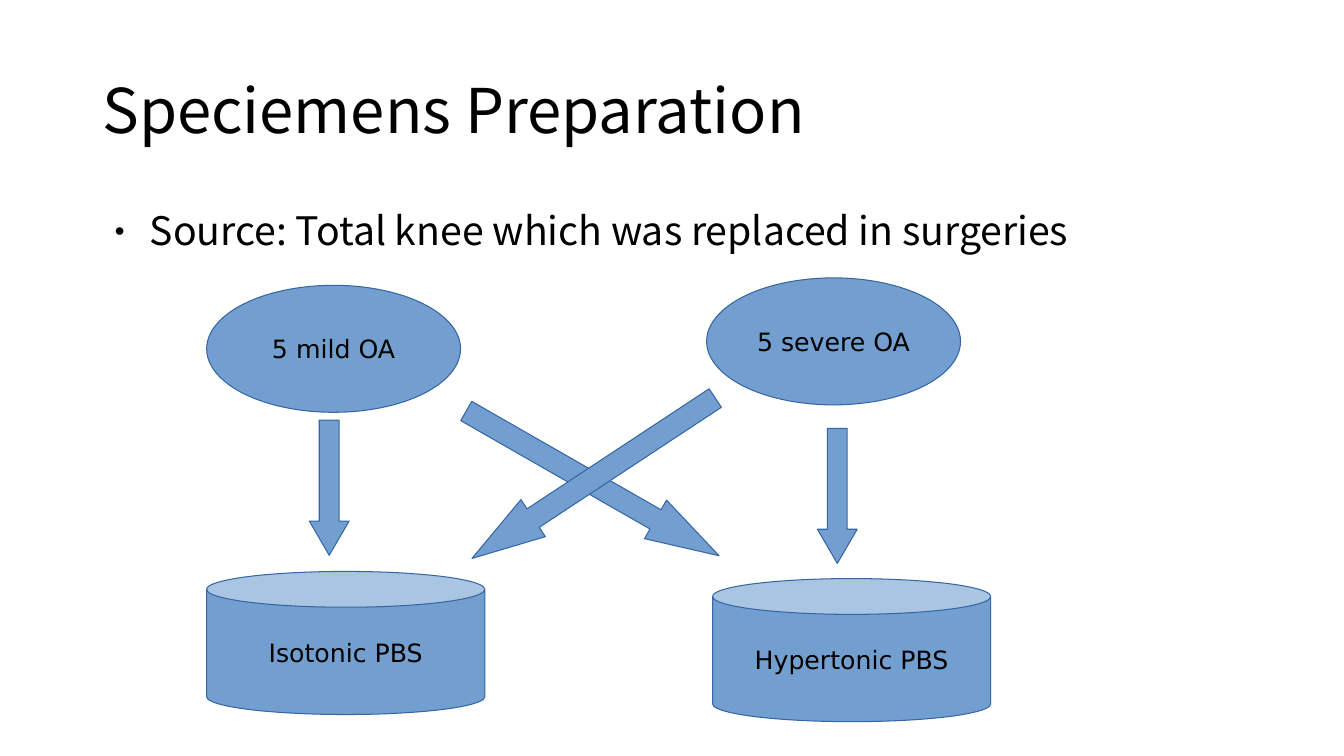
"""Build the slide on specimen preparation."""
from lxml import etree
from pptx import Presentation
from pptx.dml.color import RGBColor
from pptx.enum.shapes import MSO_SHAPE
from pptx.enum.text import MSO_ANCHOR, PP_ALIGN
from pptx.oxml.ns import qn
from pptx.util import Pt

BLACK = RGBColor(0x00, 0x00, 0x00)
BLUE = RGBColor(0x72, 0x9F, 0xCF)
NAVY = RGBColor(0x34, 0x65, 0xA4)
SANS = "DejaVu Sans"
NOTO = "Noto Sans CJK SC"
OVAL = MSO_SHAPE.OVAL
CAN = MSO_SHAPE.CAN
ARROW = MSO_SHAPE.DOWN_ARROW
LEFT = PP_ALIGN.LEFT
CENTER = PP_ALIGN.CENTER
TOP = MSO_ANCHOR.TOP
MIDDLE = MSO_ANCHOR.MIDDLE

NODES = [
    (OVAL, "5 mild OA", (147.6, 203.8, 181.4, 90.7)),
    (OVAL, "5 severe OA", (504.7, 198.5, 181.4, 90.7)),
    (CAN, "Hypertonic PBS", (509, 413.3, 198.7, 102.2)),
    (CAN, "Isotonic PBS", (147.6, 408.2, 198.7, 102.2)),
]
ARROWS = [
    ((221, 300.2, 28.4, 96.5), 0.86, 0),
    ((583.9, 306, 28.4, 96.5), 0.86, 0),
    ((407.5, 241.2, 31.7, 208.1), 1.65, 299.8),
    ((408.2, 237.6, 31.7, 208.1), 1.65, 56.6),
]


def write(shape, text, size=18, font=SANS, align=CENTER, anchor=MIDDLE,
          wrap=False, line=None, before=None):
    """Fill a shape with one formatted paragraph and return it."""
    frame = shape.text_frame
    frame.text = text
    frame.word_wrap = wrap
    frame.vertical_anchor = anchor
    para = frame.paragraphs[0]
    para.alignment = align
    if line is not None:
        para.line_spacing = line
    if before is not None:
        para.space_before = Pt(before)
    face = para.runs[0].font
    face.name = font
    face.size = Pt(size)
    face.color.rgb = BLACK
    return para


def place(shape, box):
    """Move a shape to a box given in points."""
    shape.left, shape.top, shape.width, shape.height = map(Pt, box)


def bullet(para, margin, hang, scale):
    """Give a paragraph a round bullet with a hanging indent."""
    props = para._p.get_or_add_pPr()
    props.set("marL", str(Pt(margin)))
    props.set("indent", str(-Pt(hang)))
    color = etree.SubElement(props, qn("a:buClr"))
    etree.SubElement(color, qn("a:srgbClr"), val=str(BLACK))
    etree.SubElement(props, qn("a:buSzPct"), val=str(scale * 1000))
    etree.SubElement(props, qn("a:buChar"), char="●")


def draw(slide, kind, box):
    """Add a flat blue shape with a thin outline."""
    shape = slide.shapes.add_shape(kind, *map(Pt, box))
    shape.shadow.inherit = False
    shape.fill.solid()
    shape.fill.fore_color.rgb = BLUE
    shape.line.color.rgb = NAVY
    shape.line.width = Pt(0.75)
    return shape


def arrow(slide, box, head, turn):
    """Add a block arrow with a head ratio and a rotation."""
    shape = draw(slide, ARROW, box)
    shape.adjustments[0] = 0.5
    shape.adjustments[1] = head
    shape.rotation = turn


def main():
    """Build and save the slide."""
    deck = Presentation()
    deck.slide_width, deck.slide_height = Pt(960), Pt(540)
    slide = deck.slides.add_slide(deck.slide_layouts[1])
    title, body = slide.placeholders
    place(title, (66, 28.8, 828, 104.4))
    write(title, "Speciemens Preparation", size=44, font=NOTO, align=LEFT,
          wrap=True, line=0.9)
    place(body, (66, 144, 828, 342.7))
    para = write(body, "Source: Total knee which was replaced in surgeries",
                 size=28, font=NOTO, align=LEFT, anchor=TOP, wrap=True,
                 before=14.2)
    bullet(para, 33.8, 25.2, 45)
    for kind, text, box in NODES:
        write(draw(slide, kind, box), text)
    for box, head, turn in ARROWS:
        arrow(slide, box, head, turn)
    deck.save("out.pptx")


if __name__ == "__main__":
    main()
